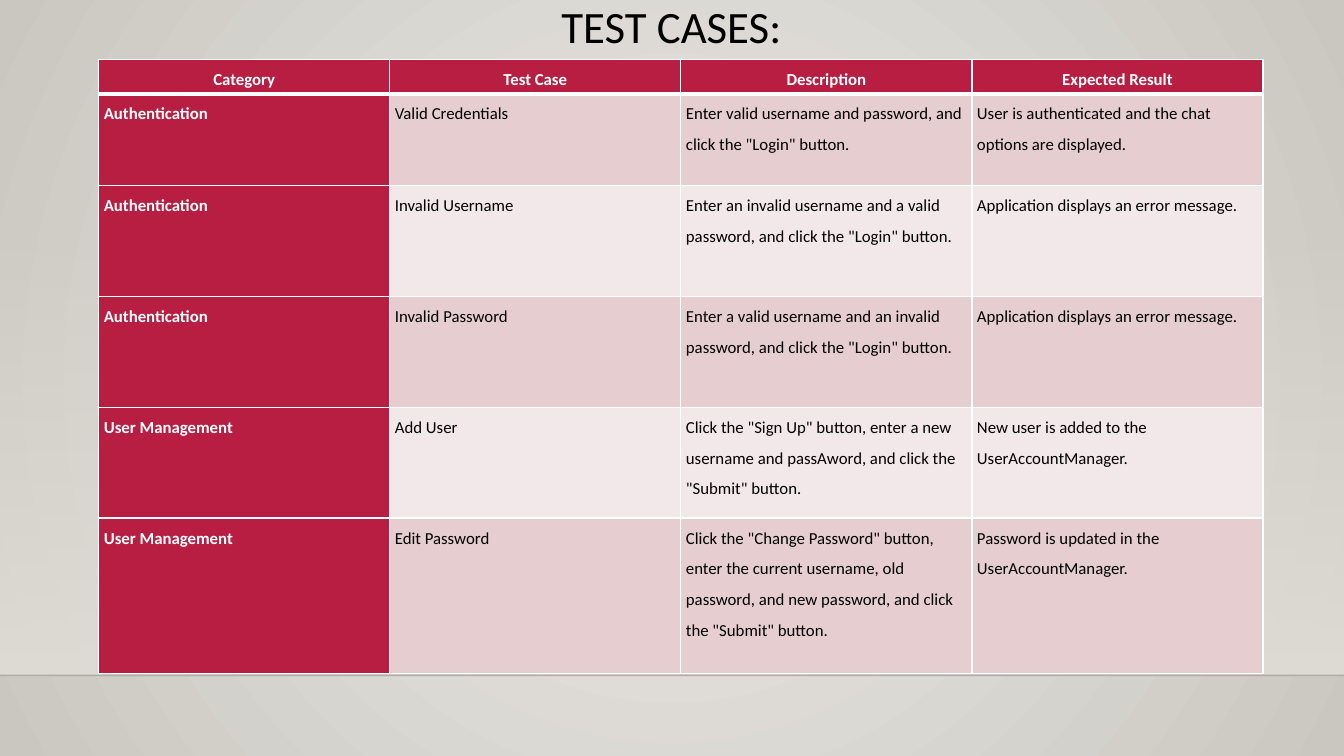
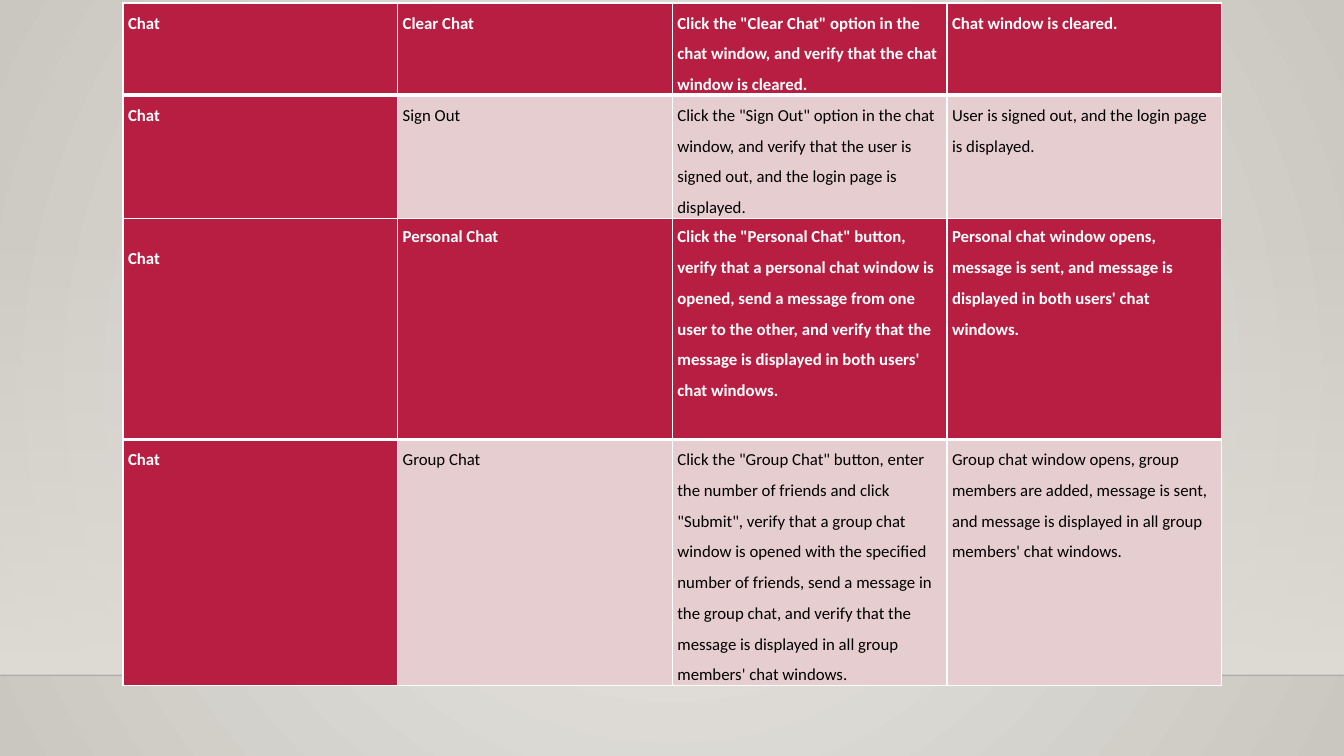
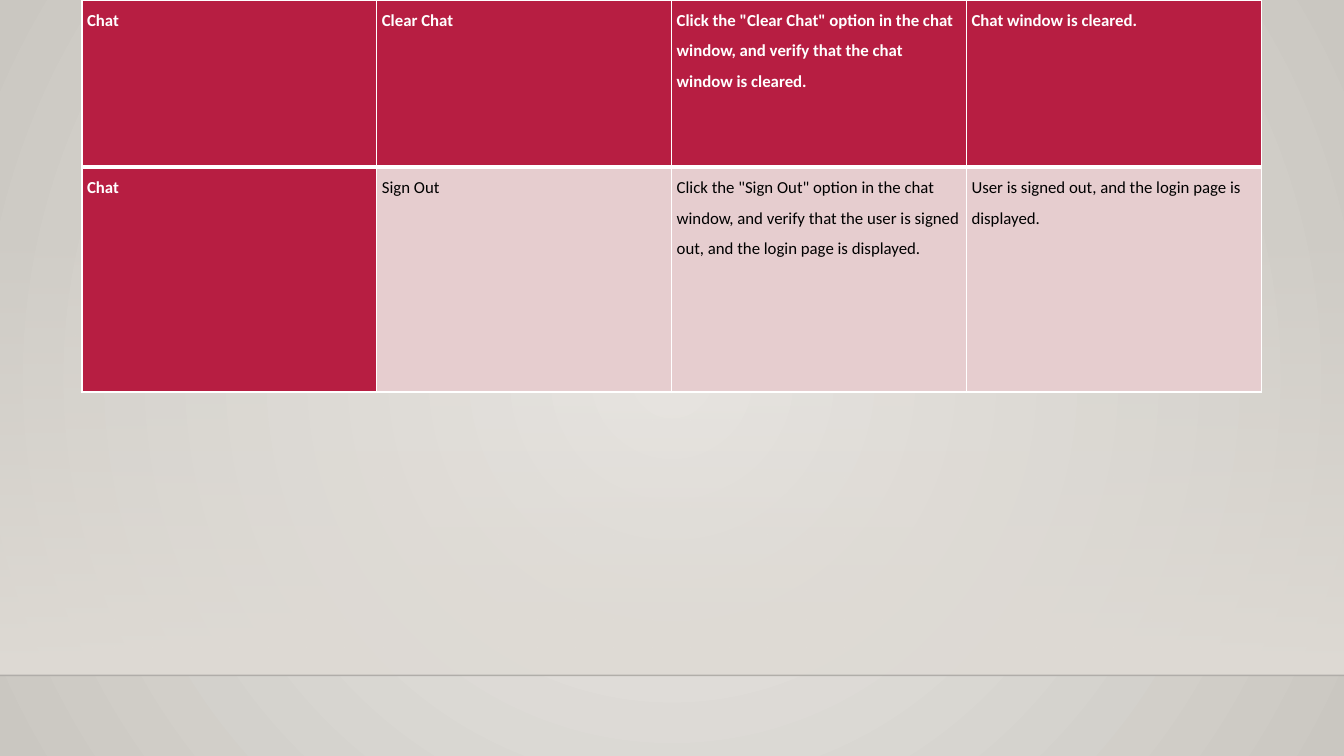
from dataclasses import dataclass

from lxml.etree import SubElement as Sub
from pptx import Presentation
from pptx.dml.color import RGBColor
from pptx.enum.shapes import MSO_CONNECTOR as Link, MSO_SHAPE as Shape
from pptx.enum.text import MSO_ANCHOR as Anchor, PP_ALIGN as Align
from pptx.oxml import parse_xml
from pptx.oxml.ns import nsdecls, qn
from pptx.util import Inches, Pt

# Shared look
WIDE, HIGH = Inches(13.333), Inches(7.5)
FONT = "Calibri"
RED, ROSE, PALE = "B71E42", "E6CDCF", "F3E8E9"
WHITE, BLACK, SAND = "FFFFFF", "000000", "DFDBD5"
FLOOR = 89.33
THIN, THICK = 1, 3

Row = tuple[str, str, str, str]


@dataclass
class Grid:
    """A table; left, top, width and rows are percent of the slide."""
    left: float
    top: float
    width: float
    rows: list[float]
    data: list[Row]
    head: Align = Align.LEFT
    drop: float = 0  # extra inches above the first cell's text


def px(part: float) -> int:
    return round(WIDE * part / 100)


def py(part: float) -> int:
    return round(HIGH * part / 100)


def tint(code: str) -> RGBColor:
    return RGBColor.from_string(code)


def write(frame, text: str, *, size: float = 12, color: str = BLACK,
          bold: bool = False, align: Align = Align.LEFT,
          lead: float = 1.5) -> None:
    para = frame.paragraphs[0]
    para.alignment, para.line_spacing = align, lead
    run = para.add_run()
    run.text = text
    font = run.font
    font.name, font.size, font.bold = FONT, Pt(size), bold
    font.color.rgb = tint(color)


def blend(root, stops: list[tuple[str, int]], shade: str) -> None:
    """Swap the solid fill under root for a gradient of (colour, alpha %)."""
    marks = "".join(
        f'<a:gs pos="{100000 * i // (len(stops) - 1)}"><a:srgbClr val="{code}">'
        f'<a:alpha val="{alpha * 1000}"/></a:srgbClr></a:gs>'
        for i, (code, alpha) in enumerate(stops))
    fill = parse_xml(f'<a:gradFill {nsdecls("a")} rotWithShape="1">'
                     f'<a:gsLst>{marks}</a:gsLst>{shade}</a:gradFill>')
    old = root.xpath(".//a:solidFill")[0]
    old.getparent().replace(old, fill)


def paint(master) -> None:
    """Radial backdrop for every slide."""
    back = master.background.fill
    back.solid()
    back.fore_color.rgb = tint(SAND)
    blend(master.element.xpath(".//p:bg")[0],
          [("ECEAE7", 100), ("CAC7C1", 100)],
          '<a:path path="circle"><a:fillToRect l="50000" t="50000" '
          'r="50000" b="50000"/></a:path>')


def stage(slide) -> None:
    """Fading wall and the floor line below it."""
    top = 29.47
    wall = slide.shapes.add_shape(Shape.RECTANGLE, 0, py(top), WIDE,
                                  py(FLOOR - top))
    wall.shadow.inherit = False
    wall.line.fill.background()
    wall.fill.solid()
    wall.fill.fore_color.rgb = tint(SAND)
    blend(wall.element.spPr, [(SAND, 0), (SAND, 100)],
          '<a:lin ang="5400000" scaled="0"/>')

    edge = slide.shapes.add_connector(Link.STRAIGHT, 0, py(FLOOR), WIDE,
                                      py(FLOOR))
    edge.line.width = Pt(1)
    edge.line.color.rgb = tint("000001")
    props = edge.element.spPr
    Sub(props.xpath(".//a:srgbClr")[0], qn("a:alpha"), val="20000")
    Sub(props, qn("a:effectLst"))


def title(slide, text: str) -> None:
    box = slide.shapes.add_textbox(px(10.58), 0, px(78.75), py(15.33))
    box.text_frame.word_wrap = True
    write(box.text_frame, text, size=32, align=Align.CENTER, lead=0.9)


def rule(cell, top: int, base: int) -> None:
    """White borders; they go before the fill in the cell properties."""
    props = cell._tc.get_or_add_tcPr()
    sides = {"L": THIN, "R": THIN, "T": top, "B": base}
    for i, (side, width) in enumerate(sides.items()):
        props.insert(i, parse_xml(
            f'<a:ln{side} {nsdecls("a")} w="{Pt(width)}"><a:solidFill>'
            f'<a:srgbClr val="{WHITE}"/></a:solidFill></a:ln{side}>'))


def table(slide, grid: Grid) -> None:
    count = len(grid.data[0])
    item = slide.shapes.add_table(
        len(grid.data), count, px(grid.left), py(grid.top),
        px(grid.width), py(sum(grid.rows))).table
    item.horz_banding = False
    for col in item.columns:
        col.width = px(grid.width / count)
    for r, (tall, texts) in enumerate(zip(grid.rows, grid.data)):
        item.rows[r].height = py(tall)
        for c, text in enumerate(texts):
            cell = item.cell(r, c)
            strong = r == 0 or c == 0
            cell.margin_left = cell.margin_right = Inches(0.05)
            cell.margin_top = Inches(grid.drop if r == c == 0 else 0)
            cell.margin_bottom = 0
            cell.vertical_anchor = Anchor.TOP
            cell.fill.solid()
            cell.fill.fore_color.rgb = tint(
                RED if strong else ROSE if r % 2 else PALE)
            rule(cell, THICK if r == 1 else THIN, THICK if r == 0 else THIN)
            write(cell.text_frame, text, bold=strong,
                  color=WHITE if strong else BLACK,
                  align=grid.head if r == 0 else Align.LEFT)


# Content
CASES: list[Row] = [
    ("Category", "Test Case", "Description", "Expected Result"),
    ("Authentication", "Valid Credentials",
     'Enter valid username and password, and click the "Login" button.',
     "User is authenticated and the chat options are displayed."),
    ("Authentication", "Invalid Username",
     'Enter an invalid username and a valid password, and click the "Login" '
     'button.',
     "Application displays an error message."),
    ("Authentication", "Invalid Password",
     'Enter a valid username and an invalid password, and click the "Login" '
     'button.',
     "Application displays an error message."),
    ("User Management", "Add User",
     'Click the "Sign Up" button, enter a new username and passAword, and '
     'click the "Submit" button.',
     "New user is added to the UserAccountManager."),
    ("User Management", "Edit Password",
     'Click the "Change Password" button, enter the current username, old '
     'password, and new password, and click the "Submit" button.',
     "Password is updated in the UserAccountManager."),
]
TALKS: list[Row] = [
    ("Chat", "Personal Chat",
     'Click the "Personal Chat" button, verify that a personal chat window '
     'is opened, send a message from one user to the other, and verify that '
     "the message is displayed in both users' chat windows.",
     "Personal chat window opens, message is sent, and message is displayed "
     "in both users' chat windows."),
    ("Chat", "Group Chat",
     'Click the "Group Chat" button, enter the number of friends and click '
     '"Submit", verify that a group chat window is opened with the specified '
     'number of friends, send a message in the group chat, and verify that '
     "the message is displayed in all group members' chat windows.",
     "Group chat window opens, group members are added, message is sent, and "
     "message is displayed in all group members' chat windows."),
]
EXITS: list[Row] = [
    ("Chat", "Clear Chat",
     'Click the "Clear Chat" option in the chat window, and verify that the '
     'chat window is cleared.',
     "Chat window is cleared."),
    ("Chat", "Sign Out",
     'Click the "Sign Out" option in the chat window, and verify that the '
     'user is signed out, and the login page is displayed.',
     "User is signed out, and the login page is displayed."),
]

# One entry per slide: title and tables from back to front
PAGES: list[tuple[str, list[Grid]]] = [
    ("TEST CASES:", [
        Grid(7.35, 7.87, 86.63, [4.53, 12.13, 14.67, 14.67, 14.67, 20.53],
             CASES, head=Align.CENTER)]),
    ("", [
        Grid(9.15, 28.67, 81.75, [29.47, 30.13], TALKS, drop=0.21),
        Grid(9.15, 0.4, 81.75, [11.07, 14.8], EXITS)]),
    ("", [Grid(6.1, 0, 87.75, [22.13, 29.73], EXITS)]),
]


def main() -> None:
    deck = Presentation()
    deck.slide_width, deck.slide_height = WIDE, HIGH
    paint(deck.slide_master)
    for name, grids in PAGES:
        slide = deck.slides.add_slide(deck.slide_layouts[6])
        stage(slide)
        if name:
            title(slide, name)
        for grid in grids:
            table(slide, grid)
    deck.save("out.pptx")


if __name__ == "__main__":
    main()
